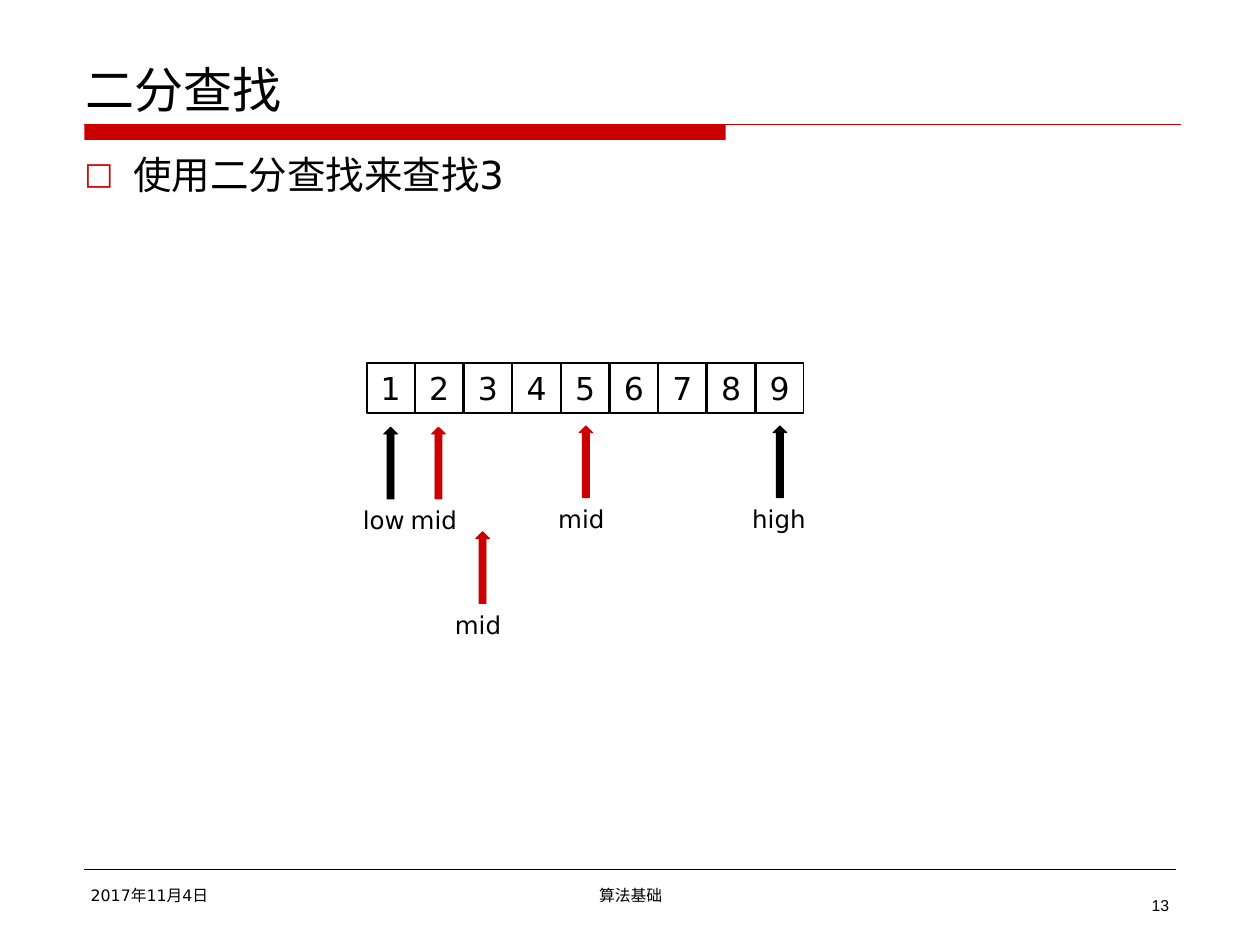
from lxml import etree
from pptx import Presentation
from pptx.dml.color import RGBColor
from pptx.enum.shapes import MSO_CONNECTOR, MSO_SHAPE
from pptx.enum.text import MSO_ANCHOR, PP_ALIGN
from pptx.oxml.ns import qn
from pptx.util import Inches, Pt

RECTANGLE, UP_ARROW = MSO_SHAPE.RECTANGLE, MSO_SHAPE.UP_ARROW
STRAIGHT = MSO_CONNECTOR.STRAIGHT
LEFT, CENTER, RIGHT = PP_ALIGN.LEFT, PP_ALIGN.CENTER, PP_ALIGN.RIGHT
TOP, MIDDLE, BOTTOM = MSO_ANCHOR.TOP, MSO_ANCHOR.MIDDLE, MSO_ANCHOR.BOTTOM
LATIN, CHINESE, PAGE_FONT = "DejaVu Sans", "Noto Sans CJK SC", "Arial"
RED, BLACK, WHITE = "CC0000", "000000", "FFFFFF"


def color(value):
    return RGBColor.from_string(value)


def write(shape, runs, size, align=LEFT, anchor=TOP, wrap=True):
    """Fill a shape with one paragraph of (text, font) runs."""
    frame = shape.text_frame
    frame.word_wrap = wrap
    frame.vertical_anchor = anchor
    frame.margin_left = frame.margin_right = Inches(0.05)
    frame.margin_top = frame.margin_bottom = Inches(0.05)
    paragraph = frame.paragraphs[0]
    paragraph.alignment = align
    for text, font_name in runs:
        run = paragraph.add_run()
        run.text = text
        run.font.name = font_name
        run.font.size = Pt(size)
        run.font.color.rgb = color(BLACK)
        east_asian = etree.SubElement(run._r.get_or_add_rPr(), qn("a:ea"))
        east_asian.set("typeface", font_name)
    return paragraph


def add_text(slide, left, top, width, height, runs, size, **layout):
    box = slide.shapes.add_textbox(
        Inches(left), Inches(top), Inches(width), Inches(height))
    return write(box, runs, size, **layout)


def add_block(slide, kind, left, top, width, height, fill, line=None, weight=1):
    shape = slide.shapes.add_shape(
        kind, Inches(left), Inches(top), Inches(width), Inches(height))
    shape.shadow.inherit = False
    shape.fill.solid()
    shape.fill.fore_color.rgb = color(fill)
    if line:
        shape.line.color.rgb = color(line)
        shape.line.width = Pt(weight)
    else:
        shape.line.fill.background()
    return shape


def add_rule(slide, left, top, width, line, weight):
    rule = slide.shapes.add_connector(
        STRAIGHT, Inches(left), Inches(top), Inches(left + width), Inches(top))
    rule.line.color.rgb = color(line)
    rule.line.width = Pt(weight)
    etree.SubElement(rule._element.spPr, qn("a:effectLst"))


def add_bullet(paragraph, character, indent):
    paragraph.space_before = Pt(5)
    properties = paragraph._p.get_or_add_pPr()
    properties.set("marL", str(Inches(indent)))
    properties.set("indent", str(-Inches(indent)))
    bullet_color = etree.SubElement(properties, qn("a:buClr"))
    etree.SubElement(bullet_color, qn("a:srgbClr")).set("val", RED)
    etree.SubElement(properties, qn("a:buSzPct")).set("val", "80000")
    etree.SubElement(properties, qn("a:buFont")).set("typeface", LATIN)
    etree.SubElement(properties, qn("a:buChar")).set("char", character)


def add_heading(slide, left, top, width):
    add_text(slide, left, top, width, 0.66, [("二分查找", CHINESE)], 28,
             anchor=BOTTOM)
    rule_left, rule_top = left + 0.04, top + 0.66
    add_block(slide, RECTANGLE, rule_left, rule_top, 5.09, 0.12, RED)
    add_rule(slide, rule_left, rule_top, 8.7, RED, 0.75)


def add_body(slide, left, top, width, height):
    runs = [("使用二分查找来查找", CHINESE), ("3", LATIN)]
    add_bullet(add_text(slide, left, top, width, height, runs, 22), "□", 0.39)


def add_pointer(slide, center, top, label, fill, label_width):
    """Up arrow with its tip at (center, top) and a label beneath it."""
    width, height = 0.11, 0.57
    add_block(slide, UP_ARROW, center - width / 2, top, width, height,
              fill, fill, 0.5)
    add_text(slide, center - 0.27, top + height, label_width, 0.34,
             [(label, LATIN)], 14)


def add_search_array(slide, left, top):
    pitch, width, height = 0.386, 0.38, 0.4
    for index in range(9):
        cell = add_block(slide, RECTANGLE, left + index * pitch, top,
                         width, height, WHITE, BLACK)
        write(cell, [(str(index + 1), LATIN)], 18, CENTER, MIDDLE)

    pointers = [  # offset from array left, offset from array top, label, fill, width
        (0.19, 0.51, "low", BLACK, 0.53),
        (3.28, 0.5, "high", BLACK, 0.63),
        (1.74, 0.5, "mid", RED, 0.58),
        (0.57, 0.51, "mid", RED, 0.58),
        (0.92, 1.34, "mid", RED, 0.58),
    ]
    for across, down, label, fill, label_width in pointers:
        add_pointer(slide, left + across, top + down, label, fill, label_width)


def add_footer(slide, left, top, width):
    date = [("2017", LATIN), ("年", CHINESE), ("11", LATIN),
            ("月", CHINESE), ("4", LATIN), ("日", CHINESE)]
    add_rule(slide, left, top, width, BLACK, 0.25)
    add_text(slide, left, top + 0.08, 2.17, 0.28, date, 9)
    add_text(slide, left + 2.75, top + 0.08, 3.17, 0.28,
             [("算法基础", CHINESE)], 9, align=CENTER)
    add_text(slide, left + width - 0.27, top + 0.16, 0.27, 0.25,
             [("13", PAGE_FONT)], 9, align=RIGHT, wrap=False)


def main():
    presentation = Presentation()
    presentation.slide_width, presentation.slide_height = Inches(10), Inches(7.5)
    slide = presentation.slides.add_slide(presentation.slide_layouts[6])
    add_heading(slide, 0.63, 0.33, 8.75)
    add_body(slide, 0.62, 1.15, 8.75, 5.43)
    add_search_array(slide, 2.91, 2.88)
    add_footer(slide, 0.67, 6.9, 8.66)
    presentation.save("out.pptx")


if __name__ == "__main__":
    main()
